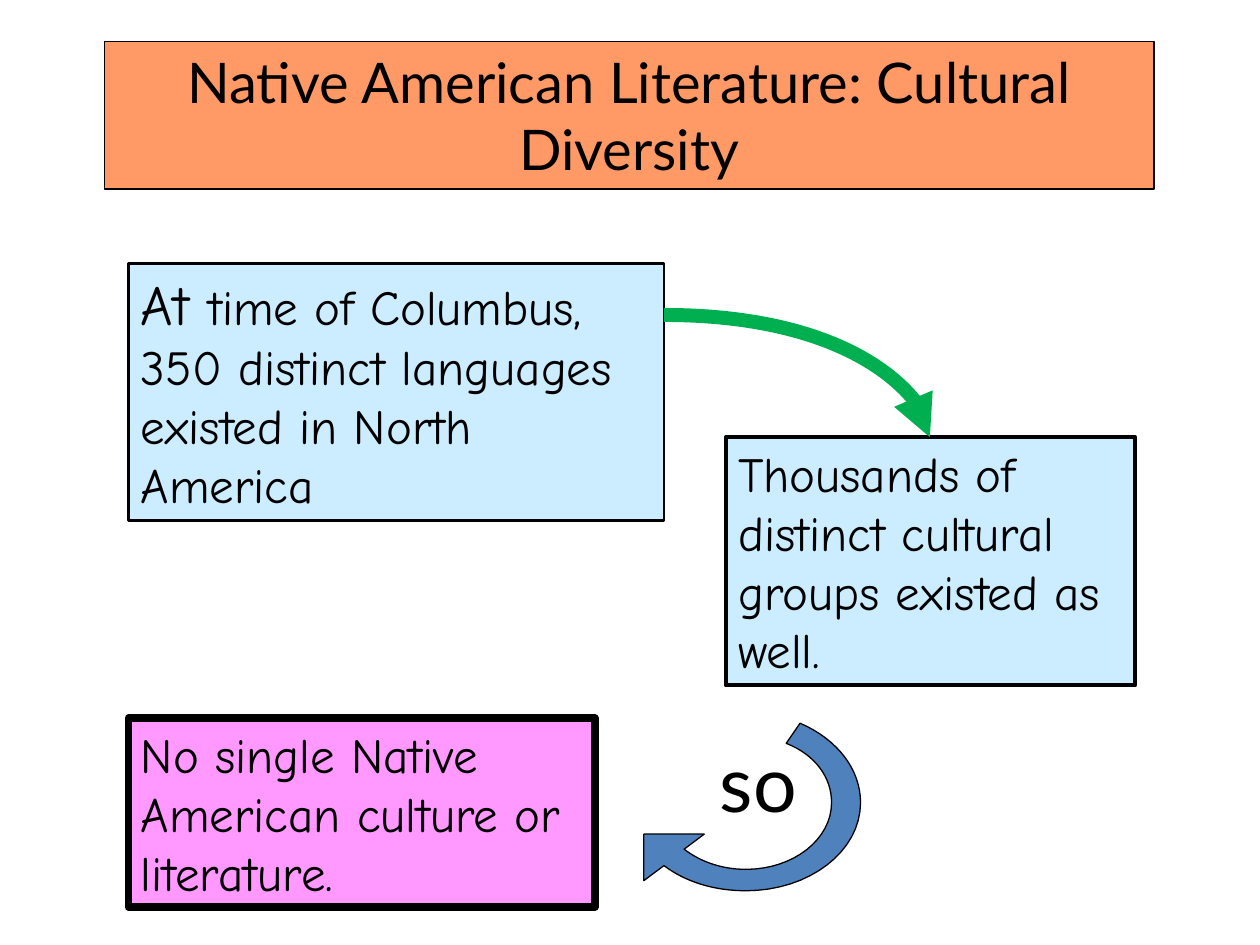
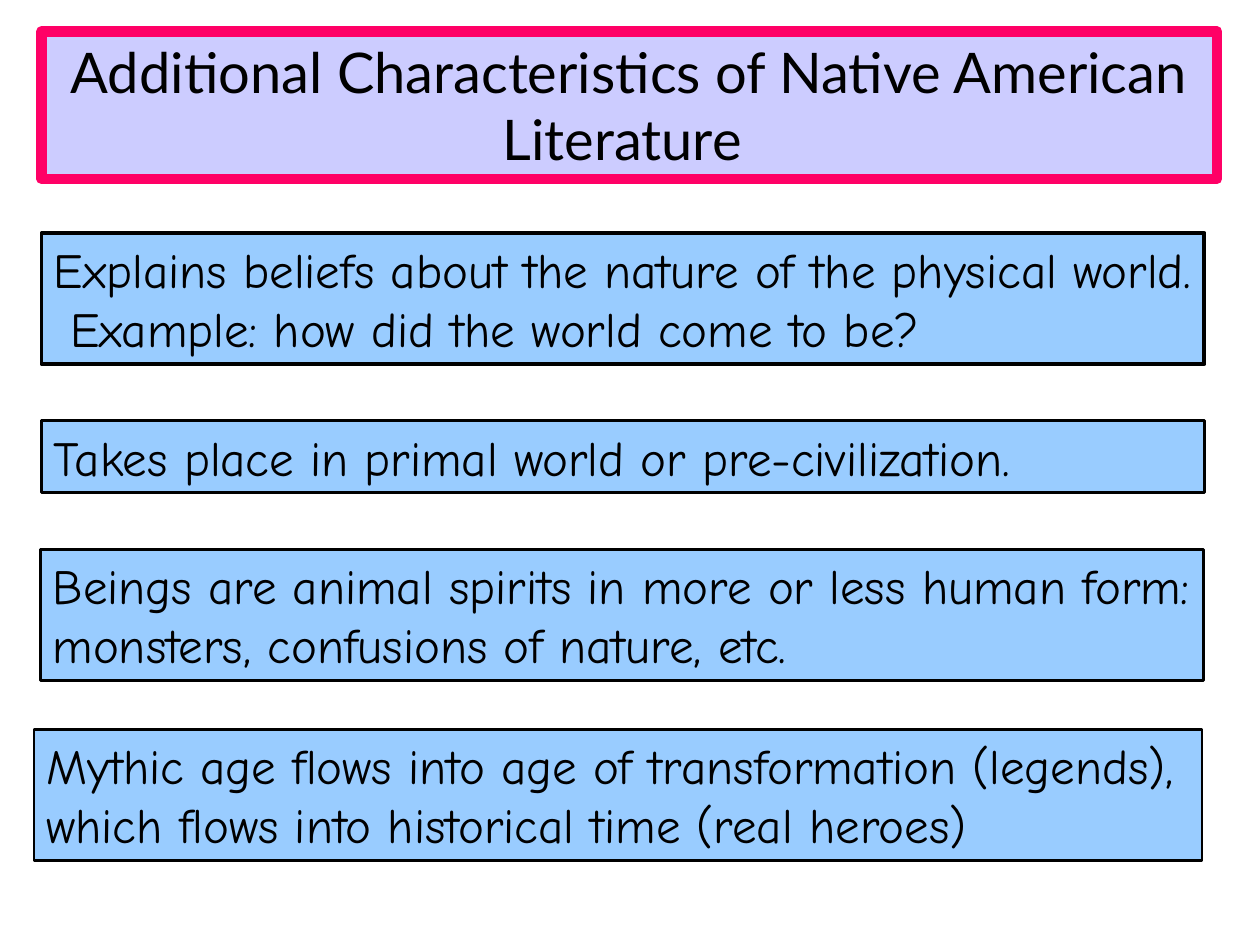
from lxml import etree
from pptx import Presentation
from pptx.dml.color import RGBColor
from pptx.enum.shapes import MSO_CONNECTOR, MSO_SHAPE
from pptx.enum.text import MSO_ANCHOR, PP_ALIGN
from pptx.oxml.ns import qn
from pptx.util import Inches, Pt

RECT = MSO_SHAPE.RECTANGLE
CURVE = MSO_CONNECTOR.CURVE
TOP = MSO_ANCHOR.TOP
LEFT, CENTER = PP_ALIGN.LEFT, PP_ALIGN.CENTER

COLORS = {
    "ink": "000000", "orange": "FF9966", "pale": "CCECFF", "pink": "FF99FF",
    "green": "00B050", "blue": "4F81BD", "lilac": "CCCCFF", "rose": "FF0066",
    "sky": "99CCFF",
}
HEAD, BODY = "Lato", "Comic Neue"

# Content: titles are (text, left, top, width, fill, line color, line width)
TITLES = [
    ("Native American Literature: Cultural Diversity",
     0.83, 0.33, 8.33, "orange", "ink", 1),
    ("Additional Characteristics of Native American Literature ",
     0.33, 0.25, 9.33, "lilac", "rose", 6),
]

# Boxes on the first slide: runs of (text, size), place, fill, line width
IDEAS = [
    ([("At ", 32),
      ("time of Columbus, 350 distinct languages existed in North America", 28)],
     (1.02, 2.09, 4.25, 2.04), "pale", 1.5),
    ([("Thousands of distinct cultural groups existed as well.", 28)],
     (5.76, 3.47, 3.25, 1.97), "pale", 2.25),
    ([("No single Native American culture or literature.", 28)],
     (1.02, 5.7, 3.7, 1.5), "pink", 4.5),
]

# Bars on the second slide: text, left, top, width, lines of text, line width
TRAITS = [
    ("Explains beliefs about the nature of the physical world.  "
     "Example: how did the world come to be?", 0.33, 1.85, 9.23, 2, 2.25),
    ("Takes place in primal world or pre-civilization.",
     0.33, 3.34, 9.23, 1, 1.5),
    ("Beings are animal spirits in more or less human form: "
     "monsters, confusions of nature, etc.", 0.32, 4.36, 9.23, 2, 1.5),
    ("Mythic age flows into age of transformation (legends), "
     "which flows into historical time (real heroes)",
     0.27, 5.79, 9.27, 2, 1.5),
]
ROW, PAD = 0.47, 0.1

# Outline of the round arrow: two numbers draw a line, six draw a curve
ARROW = [
    (5.43, 6.74),
    (5.56, 6.84, 5.73, 6.9, 5.92, 6.9),
    (6.3, 6.9, 6.6, 6.66, 6.6, 6.37),
    (6.6, 6.17, 6.47, 5.99, 6.24, 5.9),
    (6.35, 5.74),
    (6.65, 5.87, 6.83, 6.11, 6.83, 6.37),
    (6.83, 6.76, 6.42, 7.07, 5.92, 7.07),
    (5.67, 7.07, 5.44, 7, 5.27, 6.87),
    (5.11, 6.99), (5.11, 6.62), (5.59, 6.62),
]
STEPS = 16


def color(name):
    return RGBColor.from_string(COLORS[name])


def paint(shape, fill, line, width):
    shape.shadow.inherit = False
    shape.fill.solid()
    shape.fill.fore_color.rgb = color(fill)
    shape.line.color.rgb = color(line)
    shape.line.width = Pt(width)


def write(shape, runs, face, align):
    frame = shape.text_frame
    frame.word_wrap = True
    frame.vertical_anchor = TOP
    para = frame.paragraphs[0]
    para.alignment = align
    for text, size in runs:
        run = para.add_run()
        run.text = text
        run.font.size = Pt(size)
        run.font.name = face
        run.font.color.rgb = color("ink")


def add_box(slide, place, runs, fill, line, width, face=BODY, align=LEFT):
    box = slide.shapes.add_shape(RECT, *map(Inches, place))
    paint(box, fill, line, width)
    write(box, runs, face, align)


def add_page(deck, title):
    slide = deck.slides.add_slide(deck.slide_layouts[6])
    text, left, top, wide, fill, line, width = title
    add_box(slide, (left, top, wide, 1.17), [(text, 32)],
            fill, line, width, HEAD, CENTER)
    return slide


def add_bend(slide, start, end):
    bend = slide.shapes.add_connector(CURVE, *map(Inches, start + end))
    bend.line.color.rgb = color("green")
    bend.line.width = Pt(8)
    props = bend.element.spPr
    props.find(qn("a:prstGeom")).set("prst", "curvedConnector2")
    etree.SubElement(props.find(qn("a:ln")), qn("a:tailEnd"), type="triangle")
    etree.SubElement(props, qn("a:effectLst"))


def trace(parts):
    """Turn lines and cubic curves into a list of points."""
    points = [parts[0]]
    for part in parts[1:]:
        if len(part) == 2:
            points.append(part)
            continue
        knots = [points[-1], part[:2], part[2:4], part[4:]]
        for step in range(1, STEPS + 1):
            t = step / STEPS
            u = 1 - t
            mix = (u ** 3, 3 * u * u * t, 3 * u * t * t, t ** 3)
            points.append(tuple(sum(m * k[axis] for m, k in zip(mix, knots))
                                for axis in (0, 1)))
    return points


def add_arrow(slide):
    points = [(Inches(x), Inches(y)) for x, y in trace(ARROW)]
    pen = slide.shapes.build_freeform(*points[0])
    pen.add_line_segments(points[1:], close=True)
    paint(pen.convert_to_shape(), "blue", "ink", 0.75)


def main():
    deck = Presentation()
    deck.slide_width, deck.slide_height = Inches(10), Inches(7.5)

    # Cultural diversity
    slide = add_page(deck, TITLES[0])
    for runs, place, fill, width in IDEAS:
        add_box(slide, place, runs, fill, "ink", width)
    add_bend(slide, (5.27, 2.5), (7.38, 3.47))
    add_arrow(slide)
    label = slide.shapes.add_textbox(*map(Inches, (5.58, 5.79, 0.88, 0.84)))
    write(label, [("so", 44)], HEAD, CENTER)

    # Further traits
    slide = add_page(deck, TITLES[1])
    for text, left, top, wide, rows, width in TRAITS:
        place = (left, top, wide, rows * ROW + PAD)
        add_box(slide, place, [(text, 28)], "sky", "ink", width)

    deck.save("out.pptx")


if __name__ == "__main__":
    main()
